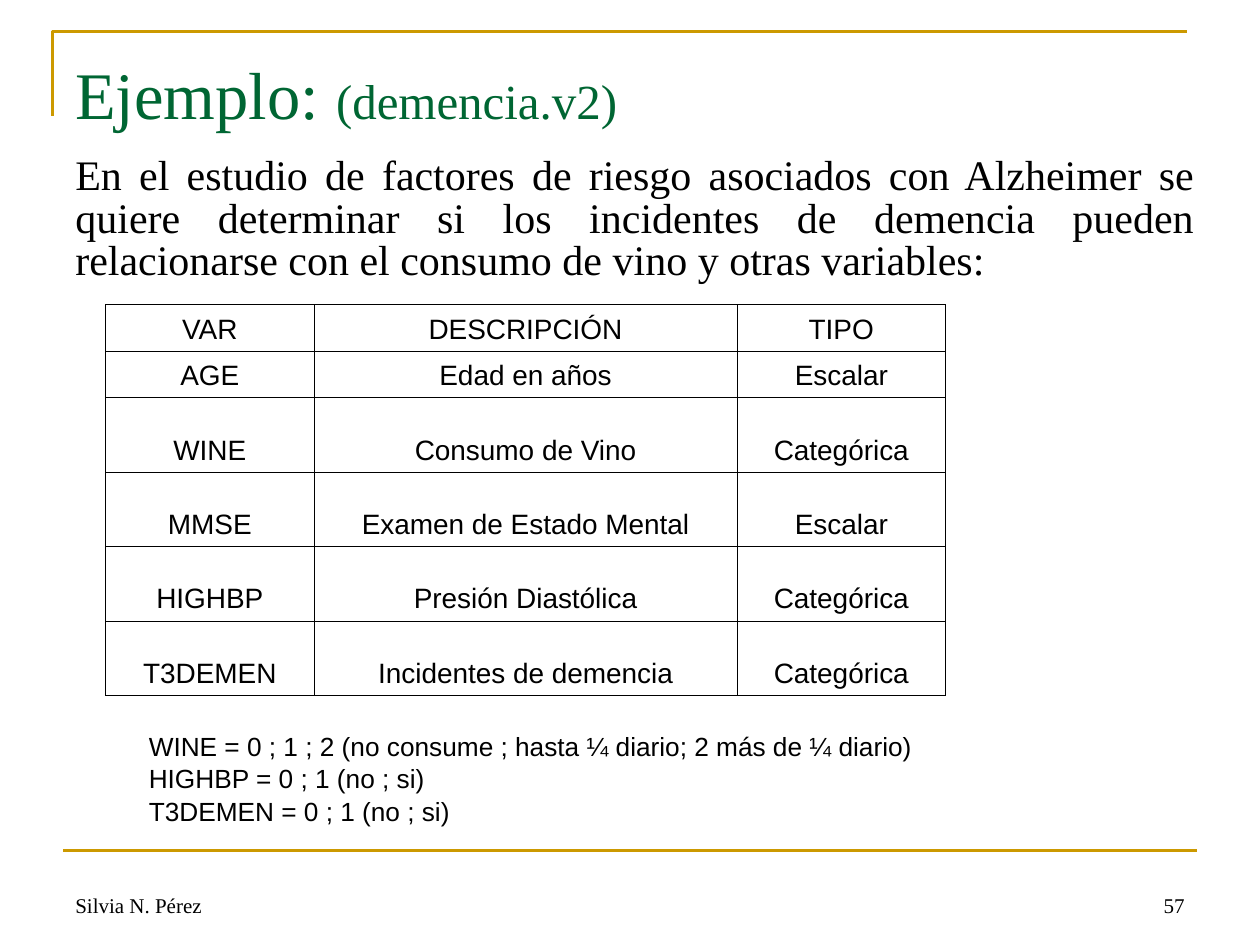
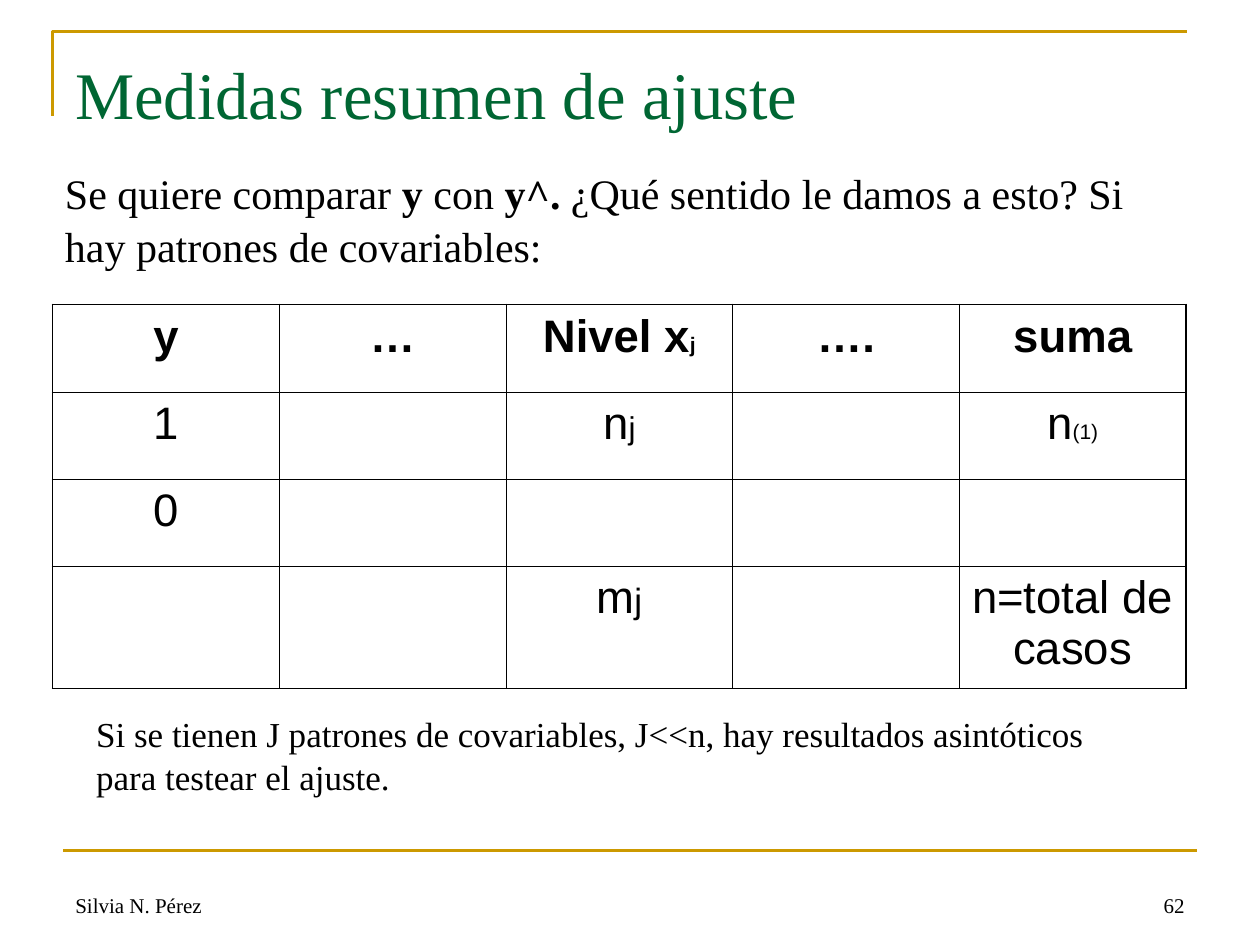
import pptx
import pptx.dml.color
import pptx.enum.text
import pptx.oxml
import pptx.oxml.ns
import pptx.util
from lxml import etree

Cm = pptx.util.Cm
Pt = pptx.util.Pt
ALIGN = pptx.enum.text.PP_ALIGN
ANCHOR = pptx.enum.text.MSO_ANCHOR

GOLD, GREEN, BLACK, WHITE = "CC9900", "006633", "000000", "FFFFFF"
SERIF, SANS = "Times New Roman", "Arial"
AUTHOR = "Silvia N. Pérez"
THIN, THICK = 0.45, 1.08
LEFT, RIGHT = 1.27, 24.13
FOOTER_TOP, FOOTER_WIDTH, FOOTER_HEIGHT = 17.35, 5.93, 1.27

VARIABLES = [
    ["VAR", "DESCRIPCIÓN", "TIPO"],
    ["AGE", "Edad en años", "Escalar"],
    ["WINE", "Consumo de Vino", "Categórica"],
    ["MMSE", "Examen de Estado Mental", "Escalar"],
    ["HIGHBP", "Presión Diastólica", "Categórica"],
    ["T3DEMEN", "Incidentes de demencia", "Categórica"],
]
CODES = [
    "WINE = 0 ; 1 ; 2 (no consume ; hasta ¼ diario; 2 más de ¼ diario)",
    "HIGHBP = 0 ; 1 (no ; si)",
    "T3DEMEN = 0 ; 1 (no ; si)",
]
PATTERNS = [
    ["y", "…", [("Nivel x", {}), ("j", {"size": Pt(12)})], "….", "suma"],
    ["1", "", [("n", {}), ("j", {"size": Pt(18)})], "",
     [("n", {}), ("(1)", {"size": Pt(12)})]],
    ["0", "", "", "", ""],
    ["", "", [("m", {}), ("j", {"size": Pt(20)})], "", "n=total de casos"],
]


def rgb(color):
    return pptx.dml.color.RGBColor.from_string(color)


def write(paragraph, content, size, font=SERIF, color=BLACK, align=ALIGN.LEFT,
          spacing=None, bold=False):
    paragraph.alignment = align
    if spacing:
        paragraph.line_spacing = spacing
    paragraph.font.name = font
    paragraph.font.size = Pt(size)
    paragraph.font.bold = bold
    paragraph.font.color.rgb = rgb(color)
    parts = [(content, {})] if isinstance(content, str) else content
    for text, changes in parts:
        if text:
            run = paragraph.add_run()
            run.text = text
            for attribute, value in changes.items():
                setattr(run.font, attribute, value)


def add_text(slide, box, contents, size, anchor=ANCHOR.TOP, **style):
    frame = slide.shapes.add_textbox(*map(Cm, box)).text_frame
    frame.word_wrap = True
    frame.vertical_anchor = anchor
    for index, content in enumerate(contents):
        paragraph = frame.add_paragraph() if index else frame.paragraphs[0]
        write(paragraph, content, size, **style)


def style_line(shape):
    shape.line.color.rgb = rgb(GOLD)
    shape.line.width = Pt(1.5)


def add_frame(slide):
    builder = slide.shapes.build_freeform(Cm(1.06), Cm(2.33))
    builder.add_line_segments(
        [(Cm(1.06), Cm(0.64)), (Cm(23.92), Cm(0.64))], close=False)
    corner = builder.convert_to_shape()
    corner.fill.background()
    corner.shadow.inherit = False
    style_line(corner)

    rule = slide.shapes.add_connector(
        pptx.enum.shapes.MSO_CONNECTOR.STRAIGHT,
        Cm(LEFT), Cm(17.15), Cm(RIGHT), Cm(17.15))
    style_line(rule)
    etree.SubElement(rule._element.spPr, pptx.oxml.ns.qn("a:effectLst"))


def add_base(deck, title, number):
    slide = deck.slides.add_slide(deck.slide_layouts[6])
    add_frame(slide)
    for left, text, align in ((LEFT, AUTHOR, ALIGN.LEFT),
                              (RIGHT - FOOTER_WIDTH, str(number), ALIGN.RIGHT)):
        add_text(slide, (left, FOOTER_TOP, FOOTER_WIDTH, FOOTER_HEIGHT), [text],
                 12, ANCHOR.BOTTOM, align=align)
    add_text(slide, (LEFT, 0.94, RIGHT - LEFT, 2), [title], 38, color=GREEN)
    return slide


def set_borders(cell, widths):
    properties = cell._tc.get_or_add_tcPr()
    for index, (side, width) in enumerate(zip("LRTB", widths)):
        properties.insert(index, pptx.oxml.parse_xml(
            f'<a:ln{side} {pptx.oxml.ns.nsdecls("a")} w="{Pt(width)}">'
            f'<a:solidFill><a:srgbClr val="{BLACK}"/></a:solidFill></a:ln{side}>'))


def add_grid(slide, left, top, widths, heights, rows, size, anchor=ANCHOR.TOP,
             outer=THIN, bold_header=False):
    grid = slide.shapes.add_table(
        len(rows), len(widths), Cm(left), Cm(top),
        Cm(sum(widths)), Cm(sum(heights))).table
    grid.first_row = grid.horz_banding = False
    for column, width in zip(grid.columns, widths):
        column.width = Cm(width)
    last_row, last_column = len(rows) - 1, len(widths) - 1
    for r, (contents, height) in enumerate(zip(rows, heights)):
        grid.rows[r].height = Cm(height)
        for c, content in enumerate(contents):
            cell = grid.cell(r, c)
            cell.vertical_anchor = anchor
            cell.fill.solid()
            cell.fill.fore_color.rgb = rgb(WHITE)
            edges = (c == 0, c == last_column, r == 0, r == last_row)
            set_borders(cell, [outer if edge else THIN for edge in edges])
            write(cell.text_frame.paragraphs[0], content, size, SANS,
                  align=ALIGN.CENTER, bold=bold_header and r == 0)


def add_example(deck):
    title = [("Ejemplo: ", {}), ("(demencia.v2)", {"size": Pt(28)})]
    slide = add_base(deck, title, 57)
    add_text(slide, (LEFT, 3.02, 23.06, 2.8), [
        "En el estudio de factores de riesgo asociados con Alzheimer se quiere "
        "determinar si los incidentes de demencia pueden relacionarse con el "
        "consumo de vino y otras variables:"],
        24, align=ALIGN.JUSTIFY, spacing=0.85)
    add_grid(slide, 2.13, 6.14, [4.2, 8.53, 4.2], [0.94] * 2 + [1.5] * 4,
             VARIABLES, 16, ANCHOR.BOTTOM)
    add_text(slide, (2.75, 14.6, 16.5, 2.16), CODES, 15, ANCHOR.MIDDLE,
             font=SANS, spacing=1.04)


def add_fit_measures(deck):
    slide = add_base(deck, "Medidas resumen de ajuste", 62)
    bold = {"bold": True}
    question = [
        ("Se quiere comparar ", {}), ("y", bold), (" con ", {}), ("y^.", bold),
        (" ¿Qué sentido le damos a esto? Si hay patrones de covariables:", {})]
    add_text(slide, (1.06, 3.22, 22.43, 2.29), [question], 24, spacing=1.04)
    add_grid(slide, 1.06, 6.14, [4.57] * 5, [1.76] * 3 + [2.46], PATTERNS, 26,
             outer=THICK, bold_header=True)
    add_text(slide, (1.69, 14.2, 21.59, 1.96), [
        "Si se tienen J patrones de covariables, J<<n, hay resultados "
        "asintóticos para testear el ajuste."], 20, spacing=1.04)


def main():
    deck = pptx.Presentation()
    deck.slide_width, deck.slide_height = Cm(25.4), Cm(19.05)
    add_example(deck)
    add_fit_measures(deck)
    deck.save("out.pptx")


if __name__ == "__main__":
    main()
